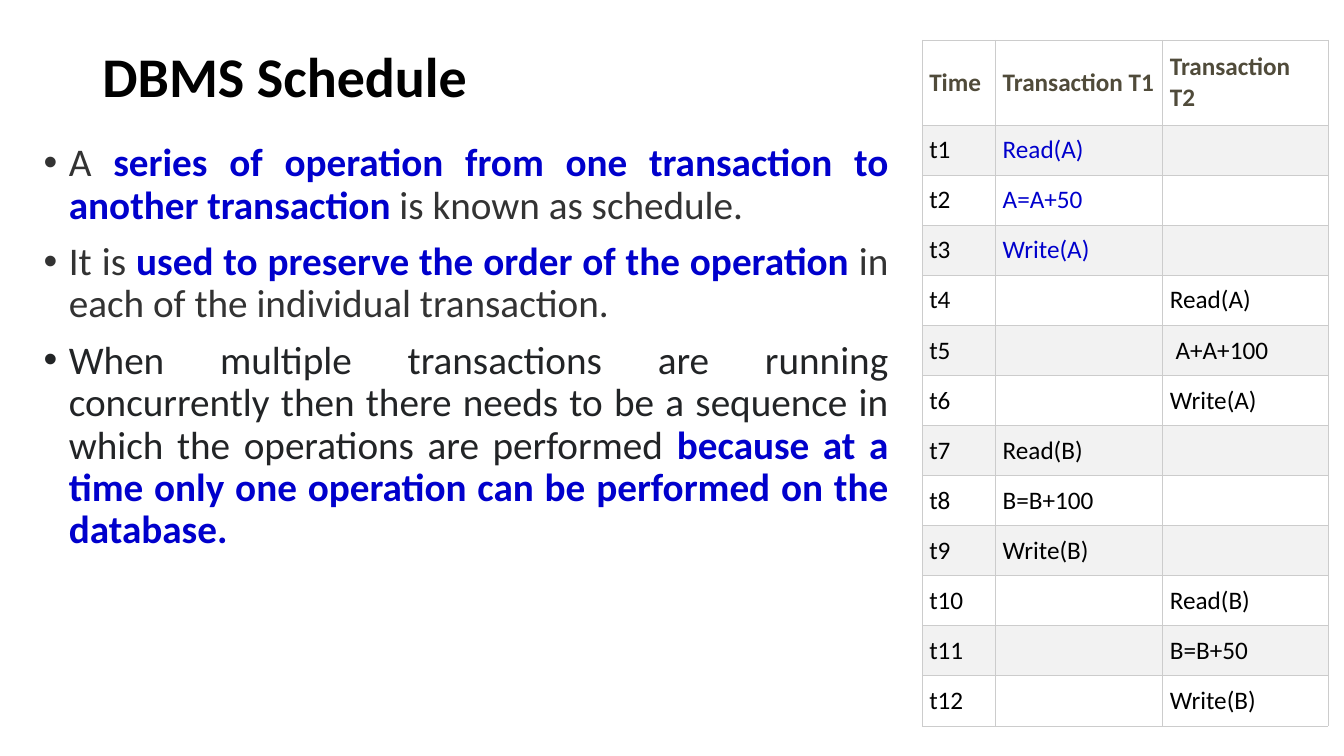
from dataclasses import dataclass

from lxml.etree import SubElement
from pptx import Presentation
from pptx.dml.color import RGBColor
from pptx.enum.text import MSO_ANCHOR, MSO_AUTO_SIZE, PP_ALIGN
from pptx.oxml.ns import qn
from pptx.util import Pt


@dataclass(frozen=True)
class Theme:
    """Colours and type sizes of the slide."""
    font: str = "Calibri"
    black: str = "000000"
    blue: str = "0000CC"
    grey: str = "333333"
    dark: str = "222426"
    head: str = "504B3A"
    rule: str = "CCCCCC"
    white: str = "FFFFFF"
    band: str = "F2F2F2"
    title: int = 40
    body: int = 28
    cell: int = 18


THEME = Theme()

POINTS = [
    [("A ", THEME.grey, False),
     ("series of operation from one transaction to another transaction ",
      THEME.blue, True),
     ("is known as schedule.", THEME.grey, False)],
    [("It is ", THEME.grey, False),
     ("used to preserve the order of the operation ", THEME.blue, True),
     ("in each of the individual transaction.", THEME.grey, False)],
    [("When multiple transactions are running concurrently then there needs "
      "to be a sequence in which the operations are performed ",
      THEME.dark, False),
     ("because at a time only one operation can be performed on the database.",
      THEME.blue, True)],
]

HEADS = ["Time", "Transaction T1", "Transaction T2"]
STEPS = [
    (1, "Read(A)"), (1, "A=A+50"), (1, "Write(A)"),
    (2, "Read(A)"), (2, "\u00a0A+A+100".replace("\u00a0", " ")), (2, "Write(A)"),
    (1, "Read(B)"), (1, "B=B+100"), (1, "Write(B)"),
    (2, "Read(B)"), (2, "B=B+50"), (2, "Write(B)"),
]


def style(font, size, color, bold=False):
    """Set face, size, colour and weight of a font."""
    font.name = THEME.font
    font.size = Pt(size)
    font.bold = bold
    font.color.rgb = RGBColor.from_string(color)


def place(shape, box):
    """Move a shape to a box given in points."""
    shape.left, shape.top, shape.width, shape.height = map(Pt, box)


def add_title(shape, box):
    """Fill the title placeholder."""
    place(shape, box)
    frame = shape.text_frame
    frame.text = "DBMS Schedule"
    frame.auto_size = MSO_AUTO_SIZE.NONE
    frame.vertical_anchor = MSO_ANCHOR.TOP
    frame.margin_top = Pt(6)
    para = frame.paragraphs[0]
    para.alignment = PP_ALIGN.LEFT
    para.line_spacing = 0.9
    style(para.runs[0].font, THEME.title, THEME.black, True)


def add_list(shape, box):
    """Fill the body placeholder with the bulleted points."""
    place(shape, box)
    frame = shape.text_frame
    frame.auto_size = MSO_AUTO_SIZE.NONE
    for i, parts in enumerate(POINTS):
        para = frame.add_paragraph() if i else frame.paragraphs[0]
        para.alignment = PP_ALIGN.JUSTIFY
        para.line_spacing = 0.9
        para.space_before = Pt(10 if i else 0)
        props = para._p.get_or_add_pPr()
        props.set("marL", str(Pt(18)))
        props.set("indent", str(Pt(-18)))
        SubElement(props, qn("a:buFont"), typeface="Arial")
        SubElement(props, qn("a:buChar"), char="•")
        for text, color, bold in parts:
            run = para.add_run()
            run.text = text
            style(run.font, THEME.body, color, bold)


def set_cell(cell, text, fill, color, bold=False):
    """Give a cell its borders, fill and text."""
    props = cell._tc.get_or_add_tcPr()
    for side in ("lnL", "lnR", "lnT", "lnB"):
        line = SubElement(props, qn(f"a:{side}"), w=str(Pt(0.75)))
        solid = SubElement(line, qn("a:solidFill"))
        SubElement(solid, qn("a:srgbClr"), val=THEME.rule)
    cell.fill.solid()
    cell.fill.fore_color.rgb = RGBColor.from_string(fill)
    cell.vertical_anchor = MSO_ANCHOR.MIDDLE
    cell.margin_left = cell.margin_right = Pt(5)
    cell.margin_top = cell.margin_bottom = Pt(5)
    para = cell.text_frame.paragraphs[0]
    para.text = text
    style(para.font, THEME.cell, color, bold)
    for run in para.runs:
        style(run.font, THEME.cell, color, bold)


def add_steps(slide, box):
    """Draw the schedule table, one row for each moment."""
    left, top, width, height = box
    table = slide.shapes.add_table(
        len(STEPS) + 1, len(HEADS), *map(Pt, box)).table
    table.first_row = table.horz_banding = False
    for col, share in zip(table.columns, (0.181, 0.412, 0.407)):
        col.width = Pt(width * share)
    first = 60.5
    for i, row in enumerate(table.rows):
        row.height = Pt((height - first) / len(STEPS) if i else first)
    for j, text in enumerate(HEADS):
        set_cell(table.cell(0, j), text, THEME.white, THEME.head, True)
    for i, (who, text) in enumerate(STEPS, 1):
        words = [f"t{i}", "", ""]
        words[who] = text
        fill = THEME.band if i % 2 else THEME.white
        for j, word in enumerate(words):
            color = THEME.blue if j == 1 and i <= 3 else THEME.black
            set_cell(table.cell(i, j), word, fill, color)


def main():
    """Build and save the slide."""
    deck = Presentation()
    deck.slide_width, deck.slide_height = Pt(960), Pt(540)
    slide = deck.slides.add_slide(deck.slide_layouts[1])
    add_title(slide.shapes.title, (66, 28.8, 828, 104.4))
    add_list(slide.placeholders[1], (24, 98.6, 617.8, 412.6))
    add_steps(slide, (658.8, 28.8, 289.8, 490.1))
    deck.save("out.pptx")


if __name__ == "__main__":
    main()
